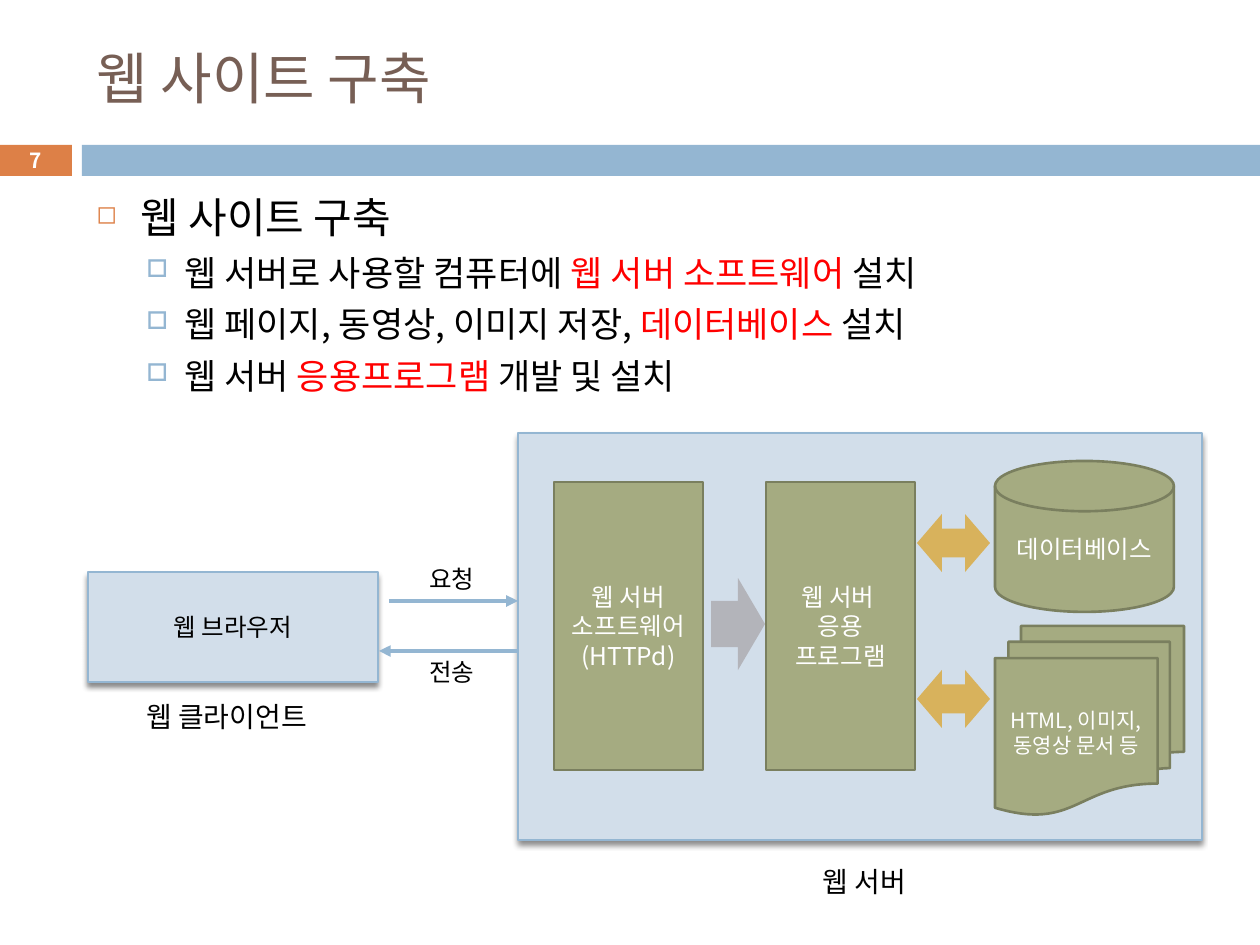
from pptx import Presentation
from pptx.dml.color import RGBColor as RGB
from pptx.enum.shapes import MSO_CONNECTOR, MSO_SHAPE as SHAPE
from pptx.enum.text import MSO_ANCHOR as ANCHOR, PP_ALIGN as ALIGN
from pptx.oxml.ns import qn
from pptx.util import Emu, Pt
from lxml.etree import SubElement

FONT = "Noto Sans CJK KR"
BLACK, WHITE, RED = RGB(0, 0, 0), RGB(255, 255, 255), RGB(255, 0, 0)
BROWN, ORANGE, BLUE = RGB(0x77, 0x5F, 0x55), RGB(0xDD, 0x80, 0x47), RGB(0x94, 0xB6, 0xD2)
PALE, GREEN, OLIVE = RGB(0xD2, 0xDE, 0xEA), RGB(0xA5, 0xAB, 0x81), RGB(0x7A, 0x7F, 0x5F)
GOLD, GREY = RGB(0xD8, 0xB2, 0x5C), RGB(0x96, 0x8C, 0x8C)


def px(value):
    """Turn pixels into EMU."""
    return Emu(round(value * 914400 / 126))


def place(origin, left, top, width, height):
    """Return a box given relative to the corner of another."""
    return origin[0] + left, origin[1] + top, width, height


def add_xml(parent, tag, **attributes):
    """Append a DrawingML element."""
    return SubElement(parent, qn(tag), {key: str(value) for key, value in attributes.items()})


def style_span(span, size, color, bold=False):
    """Set the font of a run."""
    span.font.size, span.font.bold, span.font.name = Pt(size), bold, FONT
    span.font.color.rgb = color
    add_xml(span.font._element, "a:ea", typeface=FONT)


def write(frame, text, size, color, align=ALIGN.CENTER, bold=False):
    """Fill a text frame with evenly styled paragraphs."""
    frame.text = text
    for para in frame.paragraphs:
        para.alignment = align
        for span in para.runs:
            style_span(span, size, color, bold)


def add_block(page, kind, box, fill, line=None, weight=1.5, text="", size=14, color=WHITE, bold=False):
    """Add a filled preset shape with centred text."""
    shape = page.shapes.add_shape(kind, *map(px, box))
    shape.shadow.inherit = False
    shape.fill.solid()
    shape.fill.fore_color.rgb = fill
    if line is None:
        shape.line.fill.background()
    else:
        shape.line.color.rgb, shape.line.width = line, Pt(weight)
    if text:
        shape.text_frame.vertical_anchor = ANCHOR.MIDDLE
        write(shape.text_frame, text, size, color, bold=bold)
    return shape


def add_panel(page, box, text=""):
    """Add a pale panel with a soft shadow below it."""
    panel = add_block(page, SHAPE.RECTANGLE, box, PALE, BLUE, 0.79, text, color=BLACK)
    effects = panel._element.spPr.find(qn("a:effectLst"))
    shadow = add_xml(effects, "a:outerShdw", blurRad=Pt(3), dist=Pt(2.4), dir=5400000,
                     algn="ctr", rotWithShape=0)
    add_xml(add_xml(shadow, "a:srgbClr", val=BLACK), "a:alpha", val=45000)


def add_label(page, box, text, size):
    """Add a one-line label."""
    label = page.shapes.add_textbox(*map(px, box))
    label.text_frame.word_wrap = False
    write(label.text_frame, text, size, BLACK, ALIGN.LEFT)


def add_arrow(page, start, end):
    """Add a straight arrow."""
    arrow = page.shapes.add_connector(MSO_CONNECTOR.STRAIGHT, *map(px, start + end))
    arrow.line.color.rgb, arrow.line.width = BLUE, Pt(2.25)
    add_xml(arrow.line._get_or_add_ln(), "a:tailEnd", type="triangle")
    add_xml(arrow._element.spPr, "a:effectLst")


def add_header(page, box, title, number):
    """Fill the title and draw the numbered band below it."""
    heading = page.shapes.title
    heading.left, heading.top, heading.width, heading.height = map(px, place(box, 84, 31, 1124, 93))
    heading.text_frame.vertical_anchor = ANCHOR.MIDDLE
    write(heading.text_frame, title, 32, BROWN, ALIGN.LEFT)
    add_block(page, SHAPE.RECTANGLE, place(box, -1, 145, 73, 31), ORANGE,
              text=number, size=11.9, bold=True)
    add_block(page, SHAPE.RECTANGLE, place(box, 82, 145, 1178, 31), BLUE)


def add_bullets(page, box, items):
    """Write the two-level list, each item being a level and its coloured parts."""
    levels = [(24, 7, 44, 44, "◻", ORANGE, 60), (20, 5.5, 88, 38, "□", BLUE, 70)]
    frame = page.shapes.add_textbox(*map(px, box)).text_frame
    frame.word_wrap = True
    for index, (level, parts) in enumerate(items):
        size, before, margin, hang, mark, tint, percent = levels[level]
        para = frame.add_paragraph() if index else frame.paragraphs[0]
        para.level, para.space_before = level, Pt(before)
        for text, color in parts:
            span = para.add_run()
            span.text = text
            style_span(span, size, color)
        props = para._p.get_or_add_pPr()
        props.set("marL", str(px(margin)))
        props.set("indent", str(-px(hang)))
        add_xml(add_xml(props, "a:buClr"), "a:srgbClr", val=tint)
        add_xml(props, "a:buSzPct", val=percent * 1000)
        add_xml(props, "a:buChar", char=mark)


def add_client(page, box):
    """Draw the browser panel and its caption."""
    add_panel(page, box, "웹 브라우저")
    add_label(page, place(box, 46, 121, 205, 47), "웹 클라이언트", 16)


def add_exchange(page, box):
    """Draw the request and response arrows between client and server."""
    left, top, width, height = box
    add_arrow(page, (left + 10, top), (left + width, top))
    add_arrow(page, (left + width, top + height), (left, top + height))
    for text, offset in (("요청", -43), ("전송", height)):
        add_label(page, place(box, 38, offset, 74, 43), text, 14)


def add_server(page, box):
    """Draw the server panel with its programs, stores and arrows."""
    add_panel(page, box)
    parts = [
        (SHAPE.RECTANGLE, (36, 49, 149, 288), "웹 서버\n소프트웨어\n(HTTPd)", 14),
        (SHAPE.FLOWCHART_MAGNETIC_DISK, (477, 28, 179, 151), "데이터베이스", 14),
        (SHAPE.FLOWCHART_MULTIDOCUMENT, (477, 193, 189, 189), "HTML, 이미지, 동영상 문서 등", 12),
        (SHAPE.RECTANGLE, (248, 49, 149, 288), "웹 서버 \n응용\n프로그램", 14),
    ]
    for kind, area, text, size in parts:
        add_block(page, kind, place(box, *area), GREEN, OLIVE, text=text, size=size)
    flow = add_block(page, SHAPE.RIGHT_ARROW, place(box, 193, 145, 54, 92), GREY)
    add_xml(flow._element.spPr.find(".//" + qn("a:srgbClr")), "a:alpha", val=50000)
    for top in (81, 237):
        link = add_block(page, SHAPE.LEFT_RIGHT_ARROW, place(box, 399, top, 73, 58), GOLD)
        link.adjustments[0], link.adjustments[1] = 0.5, 0.43
    add_label(page, place(box, 292, 425, 120, 47), "웹 서버", 16)


def main():
    """Build and save the deck."""
    deck = Presentation()
    deck.slide_width, deck.slide_height = px(1260), px(945)
    page = deck.slides.add_slide(deck.slide_layouts[5])
    add_header(page, (0, 0, 1260, 176), "웹 사이트 구축", "7")
    add_bullets(page, (84, 185, 1124, 694), [
        (0, [("웹 사이트 구축", BLACK)]),
        (1, [("웹 서버로 사용할 컴퓨터에 ", BLACK), ("웹 서버 소프트웨어 ", RED), ("설치", BLACK)]),
        (1, [("웹 페이지, 동영상, 이미지 저장, ", BLACK), ("데이터베이스", RED), (" 설치", BLACK)]),
        (1, [("웹 서버 ", BLACK), ("응용프로그램", RED), (" 개발 및 설치", BLACK)]),
    ])
    add_client(page, (88, 572, 290, 110))
    add_server(page, (518, 433, 684, 407))
    add_exchange(page, (379, 601, 139, 50))
    deck.save("out.pptx")


main()
